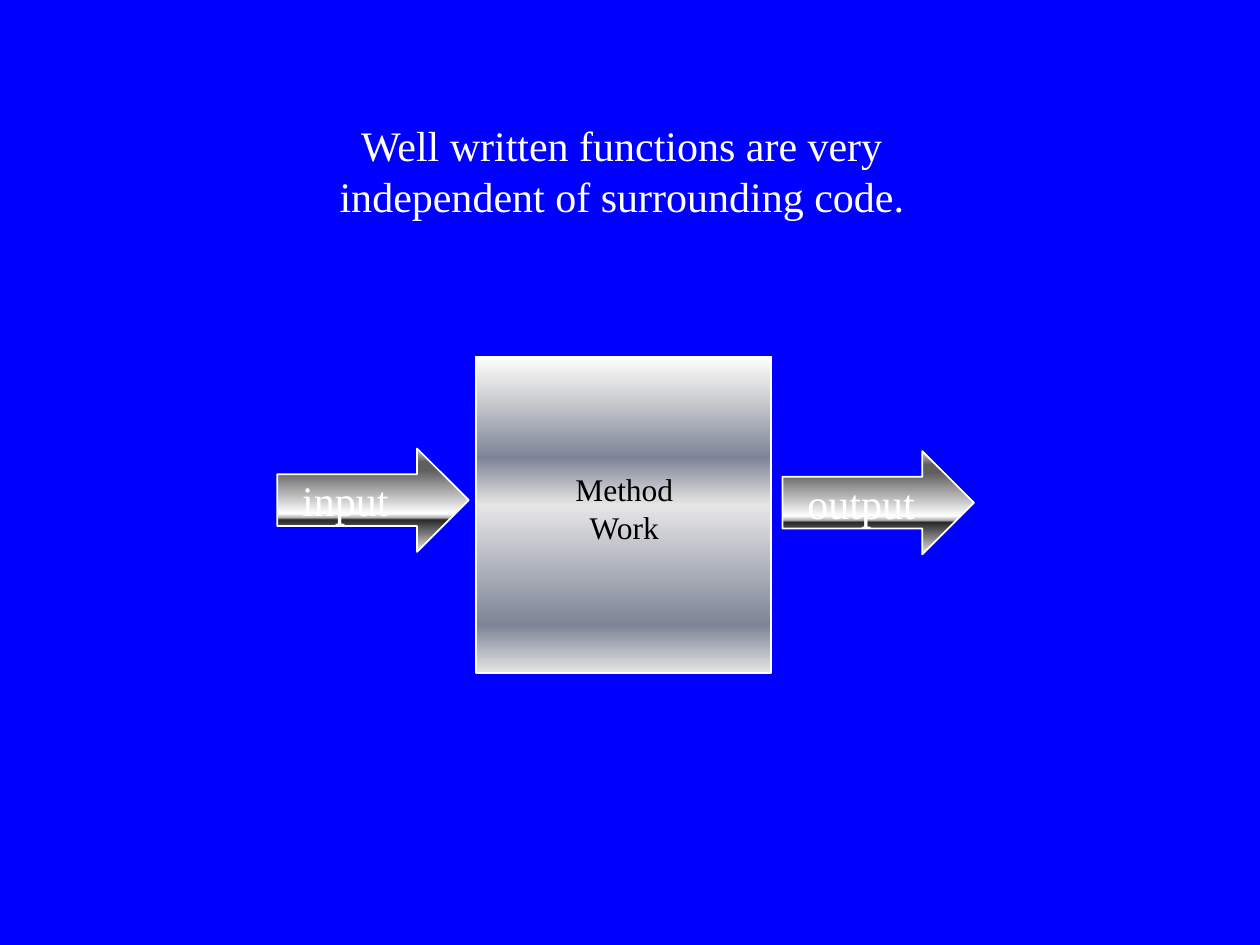
from lxml.etree import SubElement as Sub
from pptx import Presentation as Deck
from pptx.dml.color import RGBColor as Rgb
from pptx.enum.shapes import MSO_SHAPE as Kind
from pptx.enum.text import PP_ALIGN as Align
from pptx.oxml.ns import qn
from pptx.util import Inches, Pt

HUE = {"back": "0000FF", "light": "FFFFFF", "dark": "000000"}
STEEL = [(0, "FFFFFF"), (7, "E6E6E6"), (32, "7D8496"),
         (47, "E6E6E6"), (85, "7D8496"), (100, "E6E6E6")]
CHROME = [(0, "CBCBCB"), (13, "5F5F5F"), (21, "5F5F5F"), (63, "FFFFFF"),
          (67, "B2B2B2"), (69, "292929"), (82, "777777"), (100, "EAEAEA")]

deck = Deck()
deck.slide_width, deck.slide_height = Inches(10), Inches(7.5)
slide = deck.slides.add_slide(deck.slide_layouts[6])
back = slide.background.fill
back.solid()
back.fore_color.rgb = Rgb.from_string(HUE["back"])


def metal(kind, box, stops):
    shape = slide.shapes.add_shape(kind, *map(Inches, box))
    shape.shadow.inherit = False
    shape.line.color.rgb = Rgb.from_string(HUE["light"])
    shape.line.width = Pt(1)
    shape.fill.gradient()
    shape.fill.gradient_angle = 270
    ramp = next(shape.element.iter(qn("a:gsLst")))
    for old in list(ramp):
        ramp.remove(old)
    for pos, hue in stops:
        stop = Sub(ramp, qn("a:gs"), pos=str(pos * 1000))
        Sub(stop, qn("a:srgbClr"), val=hue)


def label(box, lines, size, hue, align):
    frame = slide.shapes.add_textbox(*map(Inches, box)).text_frame
    frame.word_wrap = False
    for i, line in enumerate(lines):
        para = frame.add_paragraph() if i else frame.paragraphs[0]
        para.alignment = align
        run = para.add_run()
        run.text = line
        run.font.name = "Times New Roman"
        run.font.size = Pt(size)
        run.font.color.rgb = Rgb.from_string(HUE[hue])


label((2.14, 0.9, 5.59, 0.91),
      ["Well written functions are very", "independent of surrounding code."],
      24, "light", Align.CENTER)
metal(Kind.RECTANGLE, (3.78, 2.83, 2.34, 2.51), STEEL)
label((4.4, 3.68, 1.11, 0.71), ["Method", "Work"], 18, "dark", Align.CENTER)

for word, left, top, width in [("input", 2.2, 3.56, 0.99),
                               ("output", 6.21, 3.58, 1.23)]:
    metal(Kind.RIGHT_ARROW, (left, top, 1.52, 0.82), CHROME)
    label((left + 0.1, top + 0.16, width, 0.5), [word], 24, "light", Align.LEFT)

deck.save("out.pptx")
